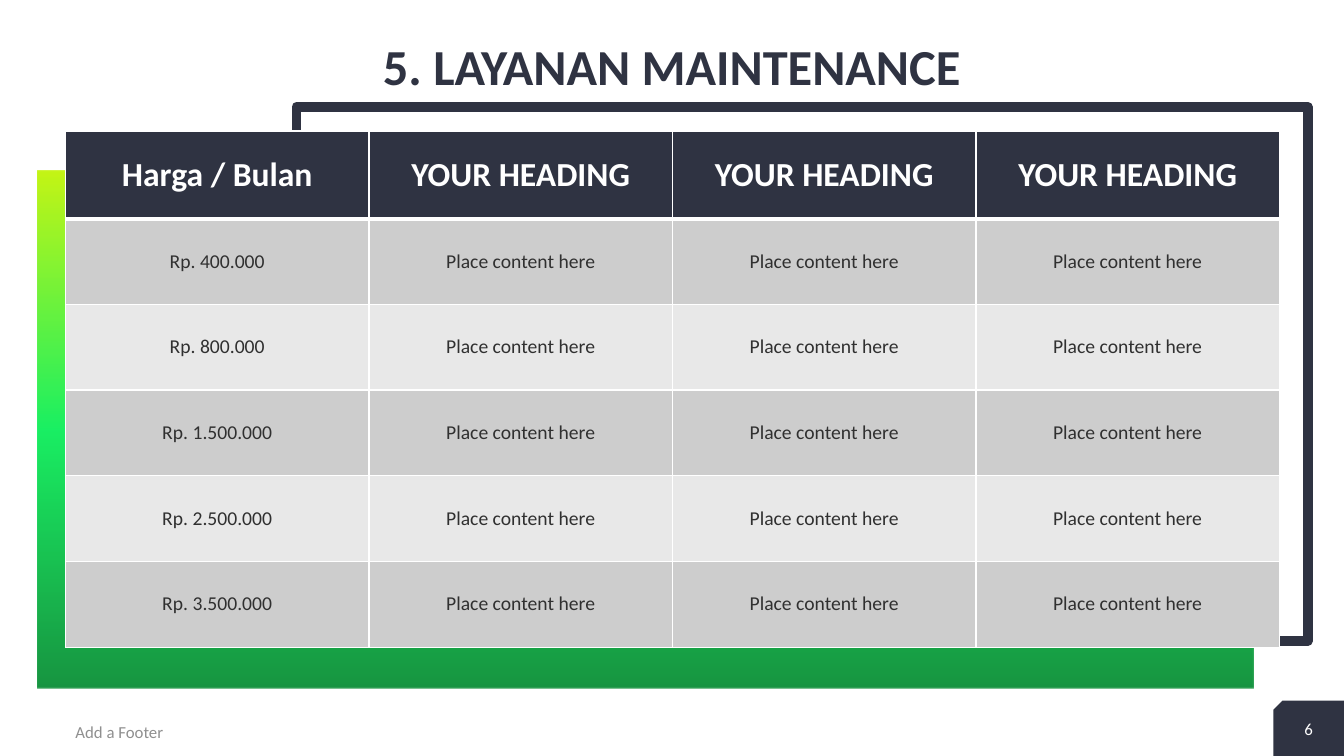
import pptx
import pptx.dml.color
import pptx.enum.shapes
import pptx.enum.text
import pptx.oxml
import pptx.oxml.ns
import pptx.util
import lxml.etree
from dataclasses import dataclass

Inches = pptx.util.Inches
Pt = pptx.util.Pt
RGB = pptx.dml.color.RGBColor.from_string
Shape = pptx.enum.shapes.MSO_SHAPE
Align = pptx.enum.text.PP_ALIGN
Middle = pptx.enum.text.MSO_ANCHOR.MIDDLE
qn = pptx.oxml.ns.qn


@dataclass(frozen=True)
class Theme:
    font: str = "Calibri"
    navy: str = "2F3342"
    white: str = "FFFFFF"
    body: str = "303030"
    footer: str = "8F8F8F"
    bands: tuple = ("CDCDCD", "E8E8E8")
    gradient: tuple = ((0, "038B30"), (50, "05EE55"), (100, "C0F400"))
    gradient_opacity: int = 91
    title_size: int = 36
    heading_size: int = 24
    body_size: int = 14
    small_size: int = 12


theme = Theme()


def write(frame, text, size, color, bold=False, align=Align.CENTER):
    frame.word_wrap = True
    para = frame.paragraphs[0]
    para.alignment = align
    span = para.add_run()
    span.text = text
    span.font.name = theme.font
    span.font.size = Pt(size)
    span.font.bold = bold
    span.font.color.rgb = RGB(color)


def add_plain_shape(kind, left, top, width, height):
    """Add a preset shape without a shadow or an outline."""
    shape = page.shapes.add_shape(kind, Inches(left), Inches(top), Inches(width), Inches(height))
    shape.shadow.inherit = False
    shape.line.fill.background()
    return shape


deck = pptx.Presentation()
deck.slide_width = Inches(13.33)
deck.slide_height = Inches(7.5)
page = deck.slides.add_slide(deck.slide_layouts[6])

# Page number tab
tab = add_plain_shape(Shape.SNIP_1_RECTANGLE, 12.63, 6.95, 0.7, 0.55)
tab.fill.solid()
tab.fill.fore_color.rgb = RGB(theme.navy)
tab._element.spPr.find(qn("a:xfrm")).set("flipH", "1")

# Outline and gradient panel behind the table
outline = add_plain_shape(Shape.RECTANGLE, 2.94, 1.06, 10.03, 5.3)
outline.fill.background()
outline.line.color.rgb = RGB(theme.navy)
outline.line.width = Pt(7)

panel = add_plain_shape(Shape.RECTANGLE, 0.37, 1.69, 12.06, 5.14)
panel.fill.gradient()
panel.fill.gradient_angle = 90
stops = panel._element.spPr.find(qn("a:gradFill")).find(qn("a:gsLst"))
for old_stop in list(stops):
    stops.remove(old_stop)
for position, color in theme.gradient:
    stop = lxml.etree.SubElement(stops, qn("a:gs"), pos=str(position * 1000))
    tint = lxml.etree.SubElement(stop, qn("a:srgbClr"), val=color)
    lxml.etree.SubElement(tint, qn("a:alpha"), val=str(theme.gradient_opacity * 1000))

# Price table
prices = ["Rp. 400.000", "Rp. 800.000", "Rp. 1.500.000", "Rp. 2.500.000", "Rp. 3.500.000"]
rows = [["Harga / Bulan"] + ["YOUR HEADING"] * 3]
rows += [[price] + ["Place content here"] * 3 for price in prices]

table = page.shapes.add_table(
    len(rows), len(rows[0]), Inches(0.65), Inches(1.3), Inches(12.03), Inches(5.12)
).table
for column in table.columns:
    column.width = Inches(3.01)
for row_index, texts in enumerate(rows):
    heading = row_index == 0
    table.rows[row_index].height = Inches(0.87 if heading else 0.85)
    for column_index, text in enumerate(texts):
        cell = table.cell(row_index, column_index)
        cell.vertical_anchor = Middle
        cell.margin_left = cell.margin_right = Inches(0.07)
        cell.margin_top = cell.margin_bottom = Inches(0.04)
        if heading:
            fill = theme.navy
            write(cell.text_frame, text, theme.heading_size, theme.white, bold=True)
        else:
            fill = theme.bands[(row_index - 1) % 2]
            write(cell.text_frame, text, theme.body_size, theme.body)
        # Borders must come before the fill in the cell properties
        properties = cell._tc.get_or_add_tcPr()
        widths = {"L": 1, "R": 1, "T": 3 if row_index == 1 else 1, "B": 3 if heading else 1}
        for side, width in widths.items():
            border = lxml.etree.SubElement(properties, qn("a:ln" + side), w=str(Pt(width)))
            paint = lxml.etree.SubElement(border, qn("a:solidFill"))
            lxml.etree.SubElement(paint, qn("a:srgbClr"), val=theme.white)
        cell.fill.solid()
        cell.fill.fore_color.rgb = RGB(fill)

# Title, footer and page number
labels = [
    ("5. LAYANAN MAINTENANCE", (0.65, 0, 12.03, 1.3), theme.title_size, theme.navy, True, Align.CENTER),
    ("Add a Footer", (0.65, 7.06, 4.5, 0.4), theme.small_size, theme.footer, False, Align.LEFT),
    ("6", (12.63, 7.01, 0.7, 0.45), theme.small_size, theme.white, False, Align.CENTER),
]
for text, place, size, color, bold, align in labels:
    box = page.shapes.add_textbox(*[Inches(length) for length in place])
    box.text_frame.vertical_anchor = Middle
    write(box.text_frame, text, size, color, bold, align)

deck.save("out.pptx")
